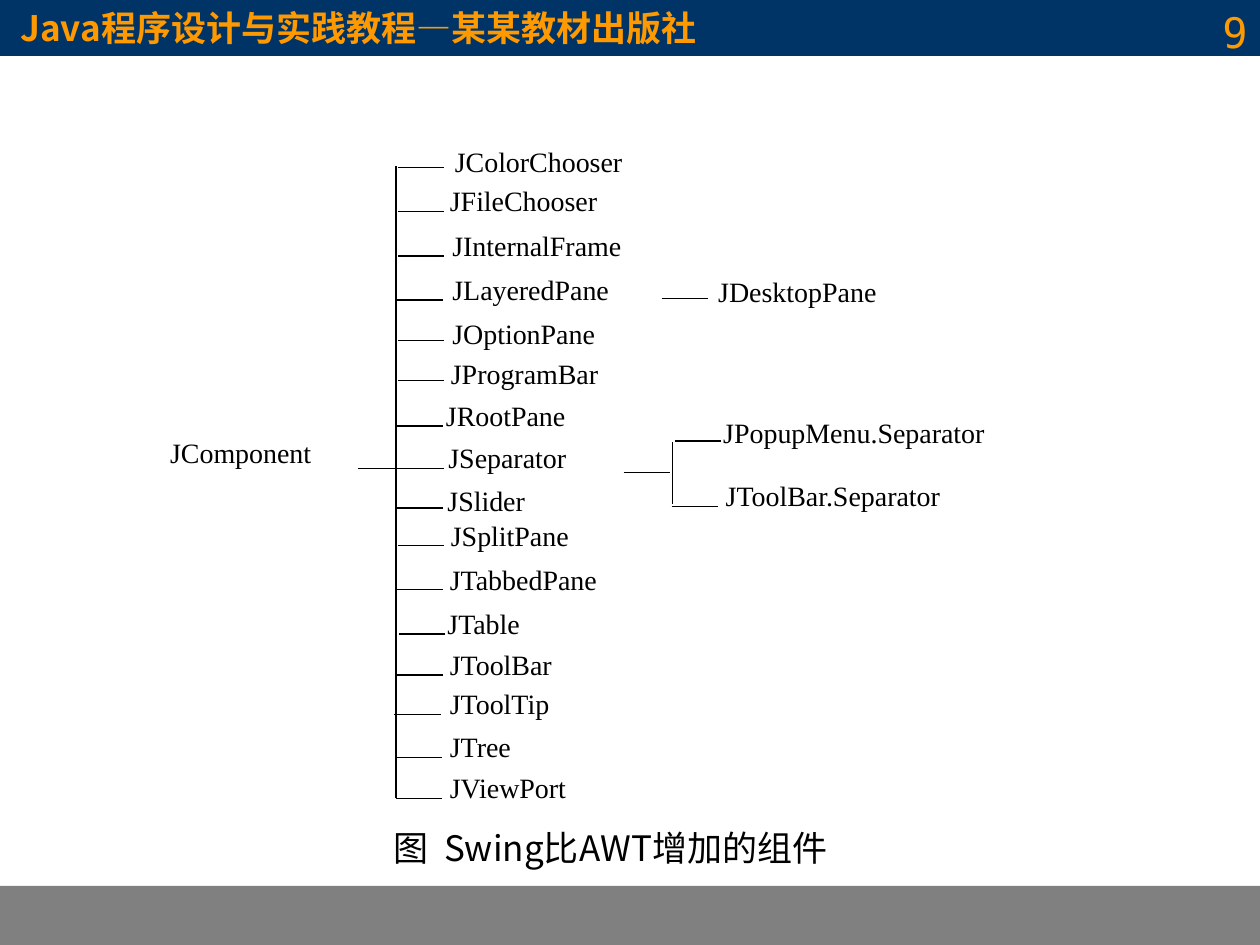
from typing import NamedTuple

from lxml.etree import SubElement
from pptx import Presentation
from pptx.dml.color import RGBColor
from pptx.enum.shapes import MSO_CONNECTOR, MSO_SHAPE
from pptx.enum.text import MSO_ANCHOR, PP_ALIGN
from pptx.oxml.ns import qn
from pptx.util import Cm, Pt

BLACK, ORANGE, NAVY, GREY = "000000", "FF9900", "003366", "808080"
SERIF, CHINESE, MONO = "Times New Roman", "Noto Sans CJK SC", "DejaVu Sans Mono"
SLIDE_WIDTH, SLIDE_HEIGHT = 25.4, 19.05
TICK_LENGTH, LABEL_HEIGHT = 0.93, 1.24


class Style(NamedTuple):
    font: str
    size: int
    color: str = BLACK
    bold: bool = False
    align: PP_ALIGN = PP_ALIGN.LEFT


class Branch(NamedTuple):
    """A class name with the tick that leads to it, in centimetres."""
    name: str
    left: float
    top: float
    width: float
    tick_left: float
    tick_y: float


class Stroke(NamedTuple):
    x1: float
    y1: float
    x2: float
    y2: float


LABEL = Style(SERIF, 16, align=PP_ALIGN.JUSTIFY)
HEADING = Style(CHINESE, 20, ORANGE, bold=True)
PAGE_NUMBER = Style(MONO, 24, ORANGE, align=PP_ALIGN.RIGHT)
CAPTION = Style(CHINESE, 20, align=PP_ALIGN.CENTER)

BRANCHES = [
    Branch("JColorChooser", 9.17, 2.92, 5.08, 8.03, 3.38),
    Branch("JFileChooser", 9.07, 3.71, 5.11, 8.03, 4.27),
    Branch("JInternalFrame", 9.12, 4.6, 4.88, 8.03, 5.16),
    Branch("JLayeredPane", 9.12, 5.49, 4.85, 8, 6.05),
    Branch("JOptionPane", 9.12, 6.38, 4.17, 8.03, 6.86),
    Branch("JProgramBar", 9.09, 7.19, 4.75, 8.03, 7.67),
    Branch("JRootPane", 8.99, 8.03, 5.11, 8, 8.59),
    Branch("JSeparator", 9.04, 8.89, 4.14, 8.03, 9.45),
    Branch("JSlider", 9.02, 9.75, 4.47, 8, 10.24),
    Branch("JSplitPane", 9.09, 10.46, 5.08, 8.03, 11),
    Branch("JTabbedPane", 9.07, 11.35, 5.44, 8, 11.89),
    Branch("JTable", 9.02, 12.22, 5.11, 8.05, 12.78),
    Branch("JToolBar", 9.07, 13.06, 4.88, 8, 13.61),
    Branch("JToolTip", 9.07, 13.84, 4.85, 7.95, 14.4),
    Branch("JTree", 9.07, 14.71, 4.17, 7.98, 15.27),
    Branch("JViewPort", 9.07, 15.54, 4.17, 7.98, 16.1),
    Branch("JDesktopPane", 14.48, 5.54, 5.33, 13.34, 6.02),
    Branch("JPopupMenu.Separator", 14.58, 8.38, 8.31, 13.61, 8.89),
    Branch("JToolBar.Separator", 14.63, 9.65, 6.53, 13.54, 10.21),
]
STEMS = [
    Stroke(7.98, 3.35, 7.98, 16.08),
    Stroke(13.56, 8.92, 13.56, 10.16),
    Stroke(7.21, 9.45, 7.21 + TICK_LENGTH, 9.45),
    Stroke(12.57, 9.53, 12.57 + TICK_LENGTH, 9.53),
]


def rgb(color: str) -> RGBColor:
    return RGBColor.from_string(color)


def write(frame, text: str, style: Style, inset_x: float = 0, inset_y: float = 0) -> None:
    frame.word_wrap = True
    frame.margin_left = frame.margin_right = Cm(inset_x)
    frame.margin_top = frame.margin_bottom = Cm(inset_y)
    para = frame.paragraphs[0]
    para.text = text
    para.alignment = style.align
    font = para.font
    font.size, font.bold, font.name = Pt(style.size), style.bold, style.font
    font.color.rgb = rgb(style.color)
    properties = para._p.pPr.find(qn("a:defRPr"))
    SubElement(properties, qn("a:ea")).set("typeface", style.font)


def add_text(page, text: str, style: Style, left: float, top: float, width: float,
             height: float, inset_x: float = 0, inset_y: float = 0) -> None:
    box = page.shapes.add_textbox(Cm(left), Cm(top), Cm(width), Cm(height))
    write(box.text_frame, text, style, inset_x, inset_y)


def add_band(page, top: float, height: float, color: str):
    """Draw a full-width bar and return it."""
    band = page.shapes.add_shape(MSO_SHAPE.RECTANGLE, 0, Cm(top), Cm(SLIDE_WIDTH), Cm(height))
    band.shadow.inherit = False
    band.fill.solid()
    band.fill.fore_color.rgb = rgb(color)
    band.line.fill.background()
    return band


def add_stroke(page, stroke: Stroke) -> None:
    line = page.shapes.add_connector(MSO_CONNECTOR.STRAIGHT, *map(Cm, stroke))
    line.line.color.rgb = rgb(BLACK)
    line.line.width = Pt(0.75)
    SubElement(line._element.spPr, qn("a:effectLst"))


def add_branch(page, branch: Branch) -> None:
    add_stroke(page, Stroke(branch.tick_left, branch.tick_y,
                            branch.tick_left + TICK_LENGTH, branch.tick_y))
    add_text(page, branch.name, LABEL, branch.left, branch.top, branch.width, LABEL_HEIGHT)


def main() -> None:
    deck = Presentation()
    deck.slide_width, deck.slide_height = Cm(SLIDE_WIDTH), Cm(SLIDE_HEIGHT)
    page = deck.slides.add_slide(deck.slide_layouts[6])

    add_band(page, 17.86, 1.19, GREY)
    header = add_band(page, 0, 1.12, NAVY)
    header.line.color.rgb = rgb(NAVY)
    header.line.width = Pt(0.75)
    header.text_frame.vertical_anchor = MSO_ANCHOR.MIDDLE
    write(header.text_frame, "Java程序设计与实践教程—某某教材出版社", HEADING, 0.41, 0.13)
    add_text(page, "9", PAGE_NUMBER, 19.48, 0, 5.92, 1.32, 0.25, 0.13)

    add_text(page, "JComponent", LABEL, 3.4, 8.76, 4.04, 1.04, 0.03, 0.03)
    for branch in BRANCHES:
        add_branch(page, branch)
    for stem in STEMS:
        add_stroke(page, stem)
    add_text(page, "图  Swing比AWT增加的组件", CAPTION, 6.63, 16.66, 11.35, 1.09)

    deck.save("out.pptx")


if __name__ == "__main__":
    main()
